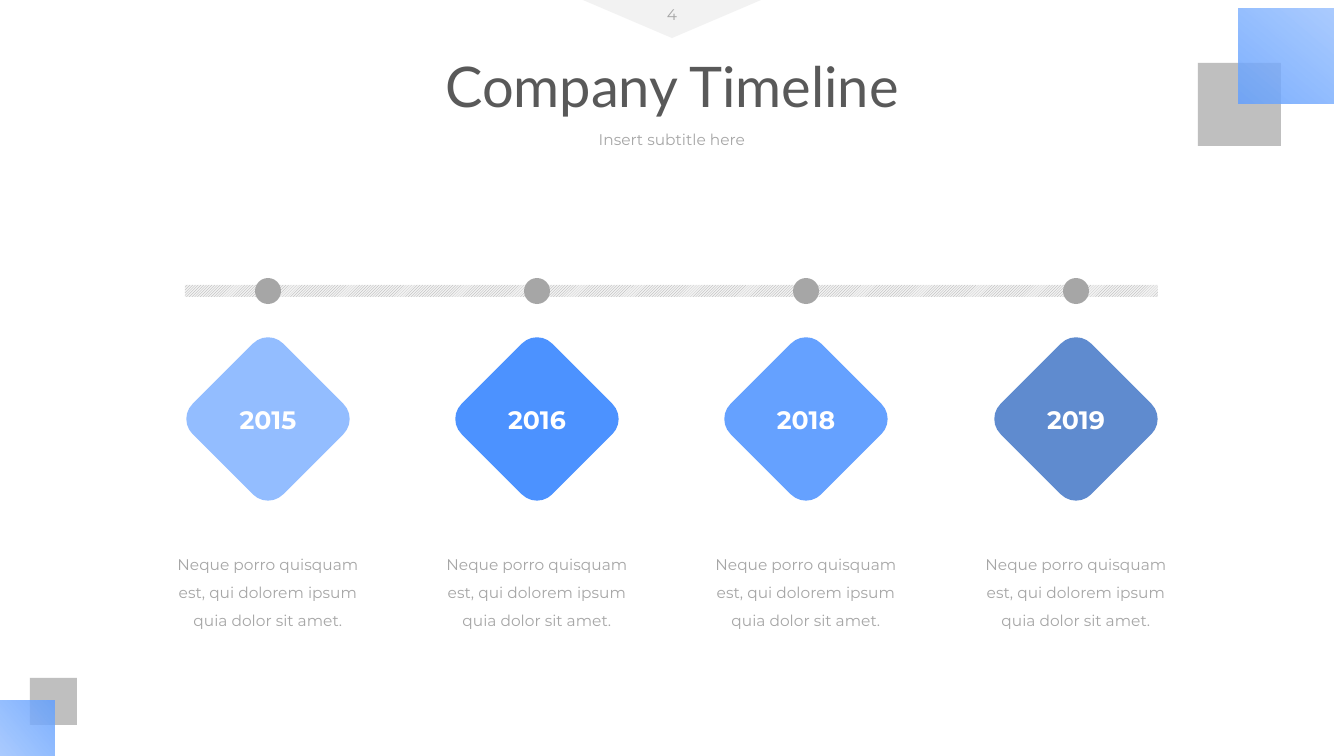
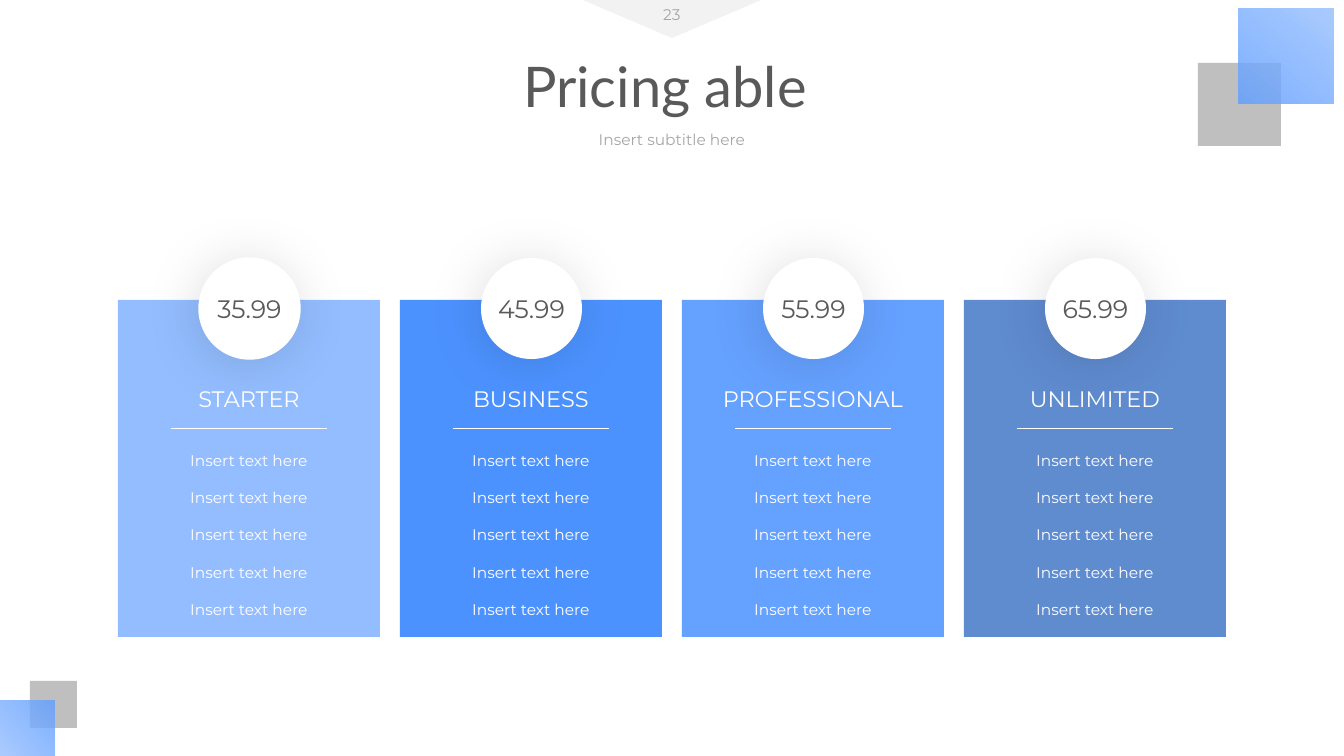
from lxml.etree import SubElement
from pptx import Presentation
from pptx.dml.color import RGBColor
from pptx.enum.dml import MSO_PATTERN
from pptx.enum.shapes import MSO_CONNECTOR, MSO_SHAPE
from pptx.enum.text import MSO_ANCHOR, MSO_AUTO_SIZE, PP_ALIGN
from pptx.oxml.ns import qn
from pptx.util import Pt

PX = 9072  # EMU in one px
color = RGBColor.from_string

WHITE, PALE, SILVER, GRAY, DARK = "FFFFFF", "F2F2F2", "BFBFBF", "A6A6A6", "595959"
LIGHT_BLUE, SKY_BLUE = "93BDFF", "65A1FF"
COLUMN_COLORS = [LIGHT_BLUE, "4C92FF", SKY_BLUE, "5F8BCF"]
TITLE_FONT, TEXT_FONT = "Lato", "Montserrat"


def add_block(slide, box, fill=None, kind=MSO_SHAPE.RECTANGLE):
    """Add a flat shape without outline, or a text box if there is no fill."""
    box = [length * PX for length in box]
    if fill is None:
        return slide.shapes.add_textbox(*box)
    shape = slide.shapes.add_shape(kind, *box)
    shape.shadow.inherit = False
    shape.line.fill.background()
    shape.fill.solid()
    shape.fill.fore_color.rgb = color(fill)
    return shape


def write(shape, text, size, fill, font=TEXT_FONT, bold=False, box=None,
          line_spacing=1.0, space_after=0, anchor=MSO_ANCHOR.TOP):
    """Set centred text; a box in px also moves the shape."""
    if box:
        shape.left, shape.top, shape.width, shape.height = (n * PX for n in box)
    frame = shape.text_frame
    frame.text = text
    frame.word_wrap = True
    frame.auto_size = MSO_AUTO_SIZE.NONE
    frame.vertical_anchor = anchor
    for paragraph in frame.paragraphs:
        paragraph.alignment = PP_ALIGN.CENTER
        paragraph.line_spacing = line_spacing
        paragraph.space_before = Pt(0)
        paragraph.space_after = Pt(space_after)
        for run in paragraph.runs:
            run.font.name = font
            run.font.size = Pt(size)
            run.font.bold = bold
            run.font.color.rgb = color(fill)
    if shape.is_placeholder:
        for properties in shape.element.iter(qn("a:pPr")):
            properties.set("marL", "0")
            properties.set("indent", "0")
            SubElement(properties, qn("a:buNone"))


presentation = Presentation()
presentation.slide_width = 1344 * PX
presentation.slide_height = 756 * PX
comparison_layout = presentation.slide_layouts[4]  # a title and four bodies

# Shared frame: number tab, corner squares, title and subtitle
slides = []
for title, number, low_square_top in [("Company Timeline", "4", 678),
                                      ("Pricing able ", "23", 681)]:
    slide = presentation.slides.add_slide(comparison_layout)
    slides.append(slide)
    tab = add_block(slide, (583, 0, 178, 38), PALE, MSO_SHAPE.ISOSCELES_TRIANGLE)
    tab.rotation = 180
    for gray_box, blue_box, angle in [
        ((1198, 63, 83, 83), (1239, 9, 95, 95), 230),
        ((30, low_square_top, 47, 47), (0, 701, 55, 55), 40),
    ]:
        add_block(slide, gray_box, SILVER)
        blue_square = add_block(slide, blue_box, LIGHT_BLUE)
        blue_square.fill.gradient()
        blue_square.fill.gradient_angle = angle
        for stop, stop_color in zip(blue_square.fill.gradient_stops,
                                    (LIGHT_BLUE, SKY_BLUE)):
            stop.color.rgb = color(stop_color)
        for stop_element, alpha in zip(blue_square.element.iter(qn("a:srgbClr")),
                                       ("78000", "85000")):
            SubElement(stop_element, qn("a:alpha"), val=alpha)
    write(slide.shapes.title, title, 40, DARK, TITLE_FONT, box=(370, 46, 604, 78))
    write(add_block(slide, (616, 0, 112, 29)), number, 11, GRAY)
    write(add_block(slide, (572, 125, 200, 29)), "Insert subtitle here", 11, GRAY)

timeline_slide, pricing_slide = slides

# Timeline
bar = add_block(timeline_slide, (185, 285, 973, 12), PALE)
bar.fill.patterned()
bar.fill.pattern = MSO_PATTERN.LIGHT_UPWARD_DIAGONAL
bar.fill.fore_color.rgb = color(GRAY)
bar.fill.back_color.rgb = color(PALE)

years = ["2015", "2016", "2018", "2019"]
descriptions = list(timeline_slide.placeholders)[1:]
for index, (year, fill, description) in enumerate(
        zip(years, COLUMN_COLORS, descriptions)):
    center = 268 + index * 808 // 3
    diamond = add_block(timeline_slide, (center - 64, 355, 128, 128), fill,
                        MSO_SHAPE.ROUNDED_RECTANGLE)
    diamond.rotation = 45
    add_block(timeline_slide, (center - 13, 278, 26, 26), GRAY, MSO_SHAPE.OVAL)
    write(add_block(timeline_slide, (center - 45, 399, 90, 40)),
          year, 18, WHITE, bold=True)
    write(description,
          "Neque porro quisquam est, qui dolorem ipsum quia dolor sit amet.",
          11, GRAY, box=(center - 101, 541, 202, 94), line_spacing=1.5)

# Pricing cards
plans = [("STARTER", "35.99"), ("BUSINESS", "45.99"),
         ("PROFESSIONAL", "55.99"), ("UNLIMITED", "65.99")]
feature_lists = list(pricing_slide.placeholders)[1:]
for index, ((plan, price), fill, features) in enumerate(
        zip(plans, COLUMN_COLORS, feature_lists)):
    left = 118 + index * 282
    center = left + 131
    card = add_block(pricing_slide, (left, 300, 262, 337), fill)

    circle = add_block(pricing_slide, (center - 50, 258, 101, 101), WHITE,
                       MSO_SHAPE.OVAL)
    if index == 0:
        circle.line.color.rgb = color(WHITE)
        circle.line.width = Pt(1)
    effects = circle.element.spPr.find(qn("a:effectLst"))
    shadow = SubElement(effects, qn("a:outerShdw"), blurRad=str(Pt(39)),
                        dist=str(Pt(3)), dir=str(135 * 60000), rotWithShape="0")
    shadow_color = SubElement(shadow, qn("a:srgbClr"), val="000000")
    SubElement(shadow_color, qn("a:alpha"), val="13000")
    frame = circle.text_frame
    frame.margin_left = frame.margin_right = 0
    write(circle, price, 18, DARK, anchor=MSO_ANCHOR.MIDDLE)

    write(add_block(pricing_slide, (left, 380, 262, 37)), plan, 16, WHITE)
    rule = pricing_slide.shapes.add_connector(
        MSO_CONNECTOR.STRAIGHT, (center - 78) * PX, 428 * PX,
        (center + 78) * PX, 428 * PX)
    rule.line.color.rgb = color(WHITE)
    rule.line.width = Pt(0.5)
    SubElement(rule.element.spPr, qn("a:effectLst"))

    write(features, "\n".join(["Insert text here"] * 5), 11, WHITE,
          box=(left, 446, 262, 186), space_after=13.4)
    card.element.addnext(features.element)  # brings the list in front of its card

presentation.save("out.pptx")
